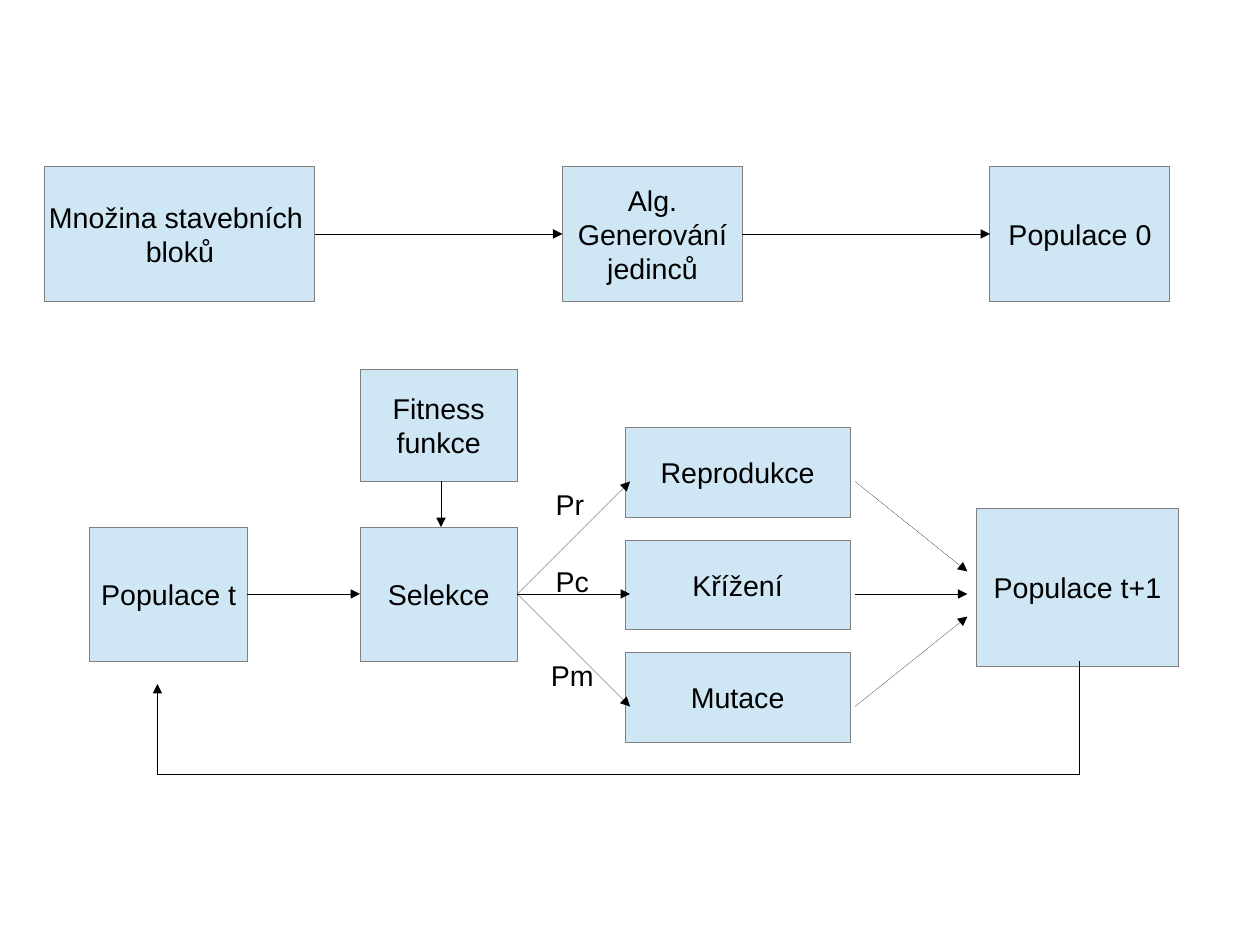
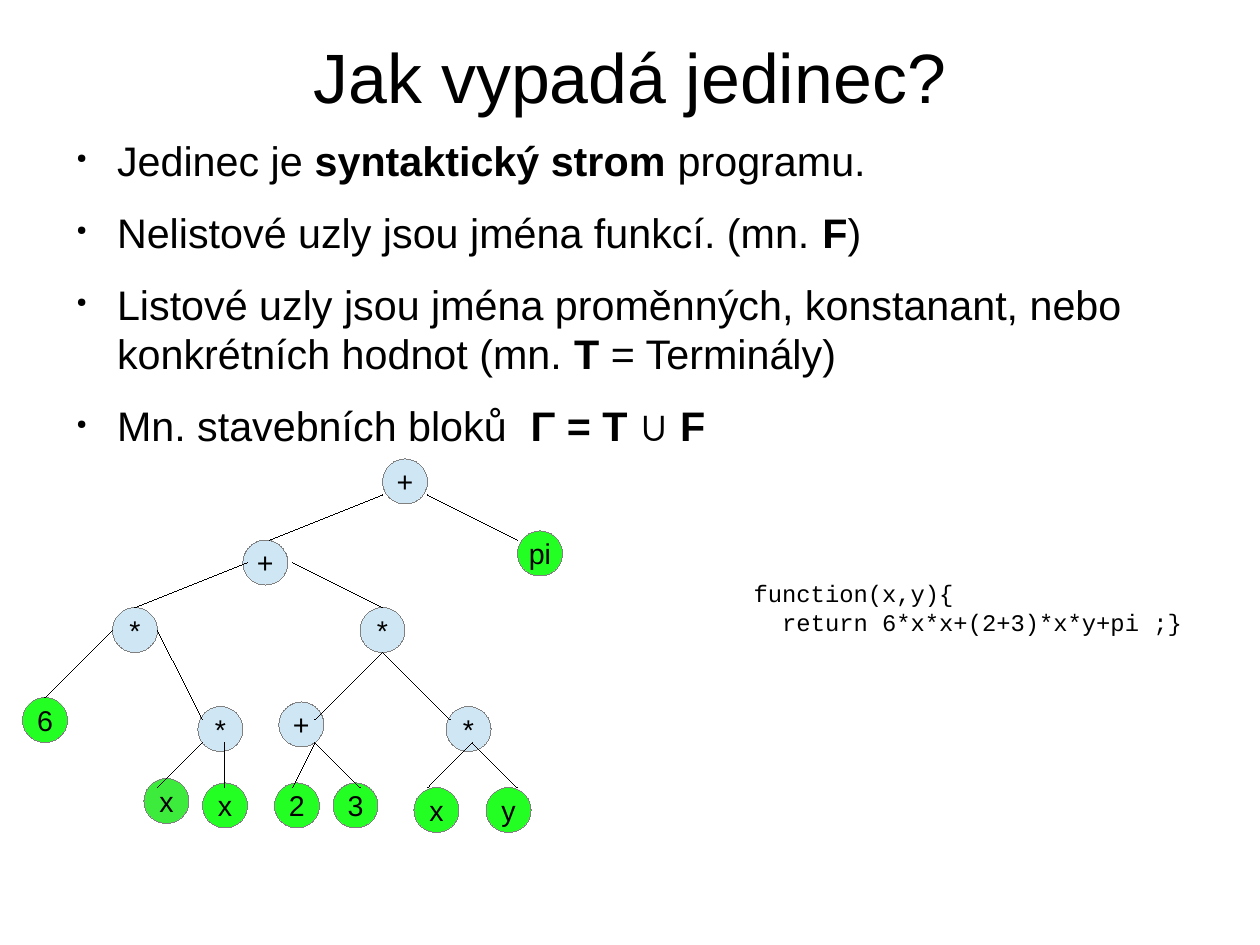
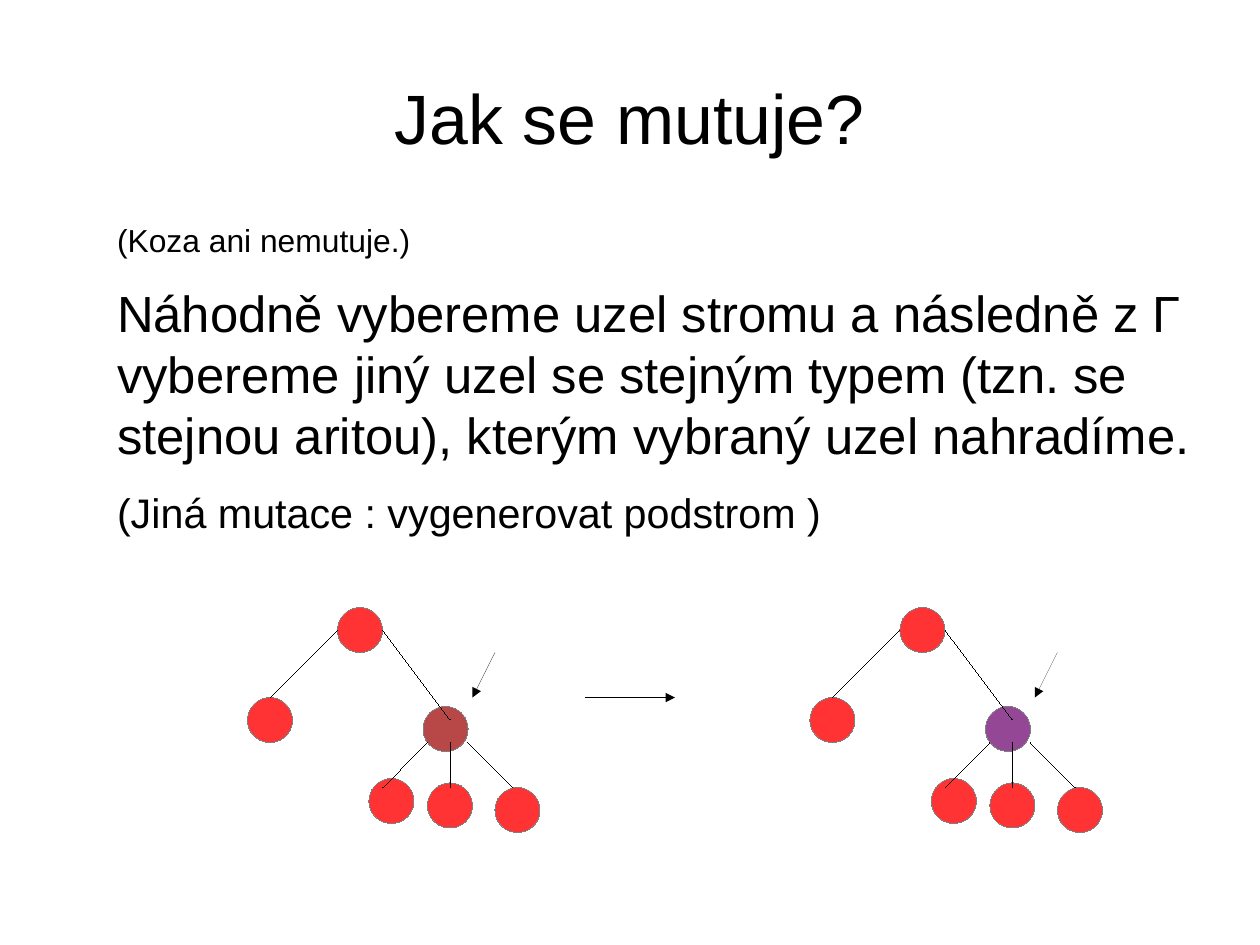
from pptx import Presentation
from pptx.dml.color import RGBColor
from pptx.enum import shapes, text
from pptx.oxml import parse_xml
from pptx.oxml.ns import nsdecls
from pptx.util import Pt

FONT = "Arial"
CODE_FONT = "Courier New"
BLACK = "000000"
WHITE = "FFFFFF"
GRAY = "808080"
BLUE = "CFE7F5"
GREEN = "23FF23"
DULL_GREEN = "3DEB3D"
RED = "FF3333"
BROWN = "B84747"
PURPLE = "944794"

MARGIN = 39.7
CONTENT_WIDTH = 714.3
NODE = 28.35
TREE_SHIFT = 354.3


def color(value):
    return RGBColor.from_string(value)


def add_xml(parent, tag, attributes="", children=""):
    parent.append(parse_xml(f"<a:{tag} {nsdecls('a')} {attributes}>{children}</a:{tag}>"))


def set_hairline(line, value):
    line.color.rgb = color(value)
    line._get_or_add_ln().set("w", "0")


def add_text(frame, content, size=18, font=FONT, align=text.PP_ALIGN.LEFT,
             after=0, indent=0, hanging=0, bullet=None):
    paragraph = frame.paragraphs[0]
    if paragraph.runs:
        paragraph = frame.add_paragraph()
    paragraph.alignment = align
    paragraph.space_after = Pt(after)
    properties = paragraph._p.get_or_add_pPr()
    properties.set("marL", str(Pt(indent)))
    properties.set("indent", str(-Pt(hanging)))
    if bullet:
        add_xml(properties, "buClr", children=f'<a:srgbClr val="{BLACK}"/>')
        add_xml(properties, "buSzPct", 'val="31000"')
        add_xml(properties, "buChar", f'char="{bullet}"')
    for part_number, part in enumerate(content.split("**")):
        for line_number, line in enumerate(part.split("\n")):
            if line_number:
                paragraph.add_line_break()
            if line:
                run = paragraph.add_run()
                run.text = line
                run.font.name = font
                run.font.size = Pt(size)
                run.font.bold = part_number % 2 == 1
                run.font.color.rgb = color(BLACK)


def add_frame(slide, left, top, width, height, inset=0, wrap=True,
              anchor=text.MSO_ANCHOR.TOP):
    frame = slide.shapes.add_textbox(Pt(left), Pt(top), Pt(width), Pt(height)).text_frame
    frame.word_wrap = wrap
    frame.vertical_anchor = anchor
    frame.margin_left = frame.margin_right = Pt(inset)
    frame.margin_top = frame.margin_bottom = Pt(inset / 2)
    return frame


def add_title(slide, content, top, height):
    frame = add_frame(slide, MARGIN, top, CONTENT_WIDTH, height, anchor=text.MSO_ANCHOR.MIDDLE)
    add_text(frame, content, size=44, align=text.PP_ALIGN.CENTER)


def add_shape(slide, kind, left, top, width, height, fill, line=GRAY):
    shape = slide.shapes.add_shape(kind, Pt(left), Pt(top), Pt(width), Pt(height))
    shape.shadow.inherit = False
    shape.fill.solid()
    shape.fill.fore_color.rgb = color(fill)
    set_hairline(shape.line, line)
    shape.text_frame.word_wrap = False
    shape.text_frame.vertical_anchor = text.MSO_ANCHOR.MIDDLE
    return shape


def add_box(slide, content, left, top, width, height):
    shape = add_shape(slide, shapes.MSO_SHAPE.RECTANGLE, left, top, width, height, BLUE)
    add_text(shape.text_frame, content, align=text.PP_ALIGN.CENTER)


def add_node(slide, left, top, fill, label=""):
    shape = add_shape(slide, shapes.MSO_SHAPE.OVAL, left, top, NODE, NODE, fill)
    if label:
        add_text(shape.text_frame, label, align=text.PP_ALIGN.CENTER)


def add_line(slide, x1, y1, x2, y2, arrow=False):
    connector = slide.shapes.add_connector(
        shapes.MSO_CONNECTOR.STRAIGHT, Pt(x1), Pt(y1), Pt(x2), Pt(y2))
    set_hairline(connector.line, BLACK)
    if arrow:
        add_xml(connector.line._get_or_add_ln(), "tailEnd", 'type="triangle"')
    add_xml(connector._element.spPr, "effectLst")


def build_process(slide):
    for content, left, width in (
        ("Množina stavebních \nbloků", 28.3, 170.1),
        ("Alg.\nGenerování\njedinců", 354.3, 113.4),
        ("Populace 0", 623.6, 113.4),
    ):
        add_box(slide, content, left, 105, width, 85)
    for content, left, top, width, height in (
        ("Populace t", 56.7, 332, 99.2, 85),
        ("Selekce", 226.8, 332, 99.2, 85),
        ("Fitness\nfunkce", 226.8, 232.5, 99.2, 70.9),
        ("Populace t+1", 615, 320.5, 127.5, 99.2),
    ):
        add_box(slide, content, left, top, width, height)

    middle = 374.2
    step = 70.9
    for row, (operator, label, left, top) in enumerate((
        ("Reprodukce", "Pr", 343, 303.3),
        ("Křížení", "Pc", 343, 351.5),
        ("Mutace", "Pm", 340, 411),
    ), start=-1):
        add_box(slide, operator, 393.8, 340.2 + row * step, 141.7, 56.7)
        add_line(slide, 326, middle, 396.9, middle + row * step, arrow=True)
        add_line(slide, 538.6, middle + row * step, 609.4, middle + row * 14.2, arrow=True)
        frame = add_frame(slide, left, top, 50, 28, inset=7.2)
        add_text(frame, label)

    for x1, y1, x2, y2 in (
        (198.4, 147.4, 354.3, 147.4),
        (467.7, 147.4, 623.6, 147.4),
        (155.9, middle, 226.8, middle),
        (277.8, 303.3, 277.8, 332),
        (99.2, 487.6, 99.2, 430.9),
    ):
        add_line(slide, x1, y1, x2, y2, arrow=True)
    add_line(slide, 680.3, 416.7, 680.3, 487.6)
    add_line(slide, 99.2, 487.6, 680.3, 487.6)


def build_individual(slide):
    add_title(slide, "Jak vypadá jedinec?", 22.8, 49)
    body = add_frame(slide, MARGIN, 85, CONTENT_WIDTH, 447)
    for content in (
        "Jedinec je **syntaktický strom **programu.",
        "Nelistové uzly jsou jména funkcí. (mn. **F**)",
        "Listové uzly jsou jména proměnných, konstanant, nebo "
        "konkrétních hodnot (mn. **T** = Terminály)",
        "Mn. stavebních bloků  **Γ = T ∪ F**",
    ):
        add_text(body, content, size=26, after=14.2, indent=34, hanging=25.5, bullet="●")

    code = add_shape(slide, shapes.MSO_SHAPE.RECTANGLE, 467.7, 255.1, 241, 255.1, WHITE, WHITE)
    add_text(code.text_frame, "function(x,y){", size=15, font=CODE_FONT)
    add_text(code.text_frame, "return 6*x*x+(2+3)*x*y+pi ;}", size=15, font=CODE_FONT, indent=18)

    for label, left, top, fill in (
        ("+", 241, 289.1, BLUE),
        ("+", 153, 340.2, BLUE),
        ("pi", 326, 334.5, GREEN),
        ("*", 70.9, 382.7, BLUE),
        ("*", 226.8, 382.7, BLUE),
        ("6", 14.2, 439.4, GREEN),
        ("+", 175.7, 442.2, BLUE),
        ("*", 124.7, 445, BLUE),
        ("*", 281, 445, BLUE),
        ("x", 90.7, 490.4, DULL_GREEN),
        ("x", 127.6, 493.2, GREEN),
        ("2", 172.9, 493.2, GREEN),
        ("3", 209.8, 493.2, GREEN),
        ("x", 260.8, 496.1, GREEN),
        ("y", 306.2, 496.1, GREEN),
    ):
        add_node(slide, left, top, fill, label)

    for y1, y2, branches in (
        (311.8, 340.2, ((241, 170), (269.3, 326))),
        (354.3, 382.7, ((156, 85), (184.3, 241))),
        (396.9, 439.4, ((70.9, 28.3),)),
        (396.9, 453.5, ((99.2, 127.6),)),
        (411, 453.5, ((241, 198.4), (241, 283.5))),
        (467.7, 496.1, ((127.6, 99.2), (141.7, 141.7), (198.4, 184.3),
                        (198.4, 226.8), (297.6, 269.3), (297.6, 326))),
    ):
        for x1, x2 in branches:
            add_line(slide, x1, y1, x2, y2)


def add_mutation_tree(slide, shift, mutated_fill):
    for left, top, fill in (
        (212.6, 382.7, RED),
        (155.9, 439.4, RED),
        (266.5, 445, mutated_fill),
        (232.4, 490.4, RED),
        (269.3, 493.2, RED),
        (311.8, 496.1, RED),
    ):
        add_node(slide, left + shift, top, fill)
    for x1, y1, x2, y2, arrow in (
        (212.6, 396.9, 170.1, 439.4, False),
        (241, 396.9, 283.5, 453.5, False),
        (269.3, 467.7, 241, 496.1, False),
        (283.5, 467.7, 283.5, 496.1, False),
        (294.8, 467.7, 323.1, 496.1, False),
        (311.8, 411, 297.6, 439.4, True),
    ):
        add_line(slide, x1 + shift, y1, x2 + shift, y2, arrow)


def build_mutation(slide):
    add_title(slide, "Jak se mutuje?", 23.8, 99.4)
    body = add_frame(slide, MARGIN, 139, CONTENT_WIDTH, 345.6)
    for content, size in (
        ("(Koza ani nemutuje.)", 20),
        ("Náhodně vybereme uzel stromu a následně z Γ vybereme jiný uzel "
         "se stejným typem (tzn. se stejnou aritou), kterým vybraný uzel nahradíme.", 32),
        ("(Jiná mutace : vygenerovat podstrom )", 26),
    ):
        add_text(body, content, size=size, after=14.2, indent=34)
    add_mutation_tree(slide, 0, BROWN)
    add_line(slide, 368.5, 439.4, 425.2, 439.4, arrow=True)
    add_mutation_tree(slide, TREE_SHIFT, PURPLE)


def main():
    presentation = Presentation()
    presentation.slide_width = Pt(793.7)
    presentation.slide_height = Pt(595.3)
    for build in (build_process, build_individual, build_mutation):
        build(presentation.slides.add_slide(presentation.slide_layouts[6]))
    presentation.save("out.pptx")


if __name__ == "__main__":
    main()
